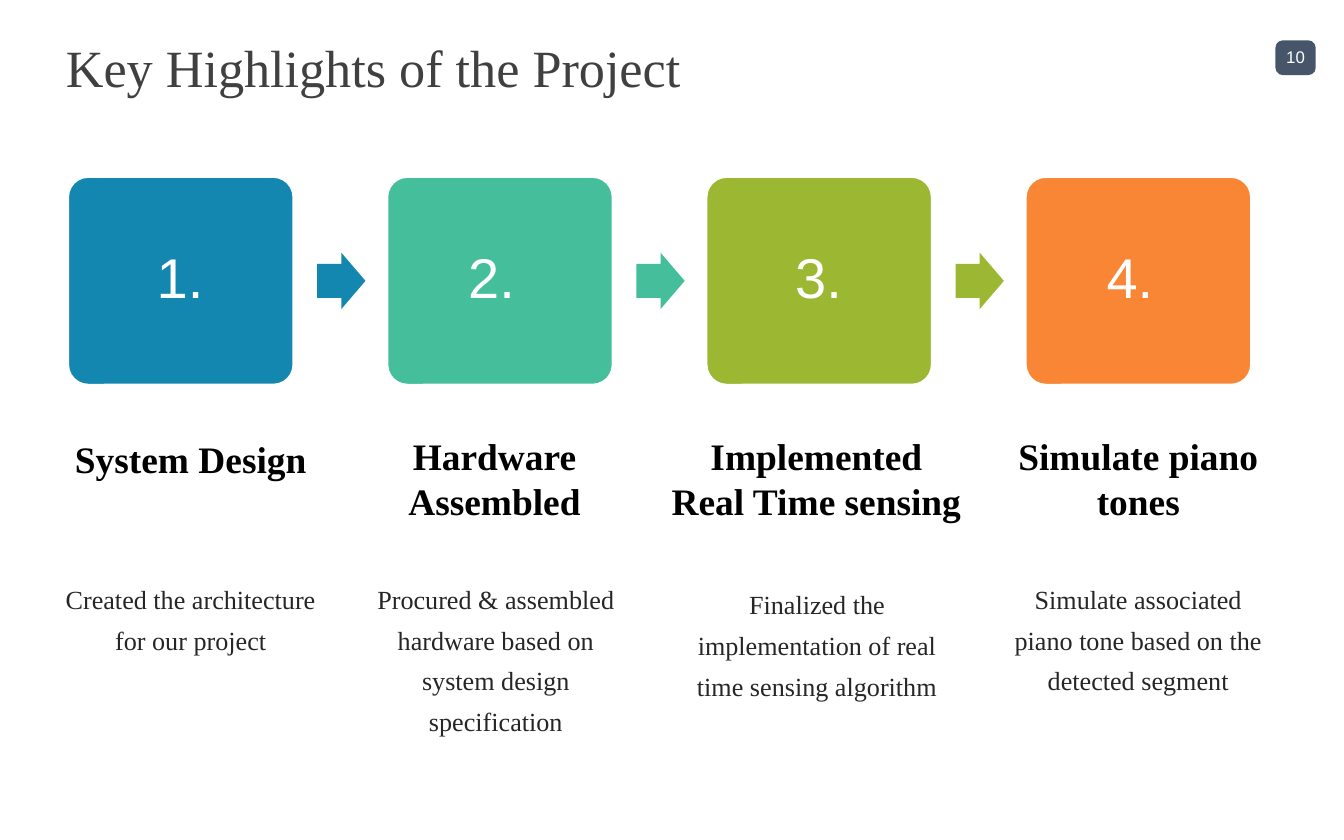
"""Build the four-step project highlights slide."""
import pptx
import pptx.util
import pptx.dml.color
import pptx.enum.shapes
import pptx.enum.text

Inches, Pt = pptx.util.Inches, pptx.util.Pt
MSO = pptx.enum.shapes.MSO_SHAPE
ALIGN = pptx.enum.text.PP_ALIGN
ANCHOR = pptx.enum.text.MSO_ANCHOR
SERIF, SANS = "Times New Roman", "Arial"

COLORS = {
    "white": "FFFFFF", "title": "404040", "heading": "000000",
    "body": "262626", "badge": "46556A", "blue": "1487B1",
    "teal": "44BE9B", "green": "9CB833", "orange": "F98634",
}
TITLE, PAGE = "Key Highlights of the Project", "10"
STEPS = [
    {"number": "1.", "color": "blue", "heading": ["System Design"],
     "heading_at": (0.45, 3.26, 1.94), "body_at": (0.45, 4.27),
     "body": "Created the architecture for our project"},
    {"number": "2. ", "color": "teal", "heading": ["Hardware", "Assembled"],
     "heading_at": (2.71, 3.4, 1.94), "body_at": (2.72, 4.27),
     "body": "Procured & assembled hardware based on system design specification"},
    {"number": "3.", "color": "green", "heading": ["Implemented", "Real Time sensing"],
     "heading_at": (4.99, 3.4, 2.17), "body_at": (5.11, 4.31),
     "body": "Finalized the implementation of real time sensing algorithm"},
    {"number": "4. ", "color": "orange", "heading": ["Simulate piano tones"],
     "heading_at": (7.28, 3.4, 2.38), "body_at": (7.5, 4.27),
     "body": "Simulate associated piano tone based on the detected segment"},
]
LEFT, PITCH = 0.5, 2.375
CARD_TOP, CARD_W, CARD_H = 1.31, 1.69, 1.56
ARROW_W, ARROW_H = 0.36, 0.42


def add_block(slide, kind, at, color, adjustments, outlined=False):
    sp = slide.shapes.add_shape(kind, *map(Inches, at))
    sp.shadow.inherit = False
    for i, value in enumerate(adjustments):
        sp.adjustments[i] = value
    sp.fill.solid()
    sp.fill.fore_color.rgb = pptx.dml.color.RGBColor.from_string(COLORS[color])
    if outlined:
        sp.line.color.rgb = pptx.dml.color.RGBColor.from_string(COLORS["white"])
        sp.line.width = Pt(2)
    else:
        sp.line.fill.background()


def add_text(slide, at, lines, size, color, font=SERIF, bold=False, align=ALIGN.CENTER,
             anchor=ANCHOR.MIDDLE, inset=(0, 0.04), spacing=None, wrap=True):
    tf = slide.shapes.add_textbox(*map(Inches, at)).text_frame
    tf.word_wrap = wrap
    tf.vertical_anchor = anchor
    tf.margin_left = tf.margin_right = Inches(inset[0])
    tf.margin_top = tf.margin_bottom = Inches(inset[1])
    for i, line in enumerate(lines):
        p = tf.add_paragraph() if i else tf.paragraphs[0]
        p.alignment = align
        if spacing:
            p.line_spacing = spacing
        r = p.add_run()
        r.text = line
        r.font.size, r.font.name, r.font.bold = Pt(size), font, bold
        r.font.color.rgb = pptx.dml.color.RGBColor.from_string(COLORS[color])


def main():
    prs = pptx.Presentation()
    prs.slide_width, prs.slide_height = Inches(10), Inches(6.25)
    slide = prs.slides.add_slide(prs.slide_layouts[6])

    add_block(slide, MSO.ROUNDED_RECTANGLE, (9.49, 0.3, 0.3, 0.26), "badge", [0.217])
    add_text(slide, (9.56, 0.29, 0.16, 0.27), [PAGE], 9, "white", SANS,
             inset=(0, 0), wrap=False)
    add_text(slide, (0.49, 0.3, 9, 0.39), [TITLE], 28, "title", align=ALIGN.LEFT)

    for i, step in enumerate(STEPS):
        x = LEFT + i * PITCH
        card = (x, CARD_TOP, CARD_W, CARD_H)
        add_block(slide, MSO.ROUNDED_RECTANGLE, card, step["color"], [0.1], outlined=True)
        add_text(slide, (x + 0.04, CARD_TOP + 0.05, 1.6, 1.46), [step["number"]], 30,
                 "white", SANS, inset=(0.12, 0.12), spacing=0.9)
        if i < len(STEPS) - 1:
            arrow = (x + CARD_W + 0.17, CARD_TOP + (CARD_H - ARROW_H) / 2, ARROW_W, ARROW_H)
            add_block(slide, MSO.RIGHT_ARROW, arrow, step["color"], [0.6, 0.5])
        add_text(slide, (*step["heading_at"], 0.31), step["heading"], 20, "heading", bold=True)
        add_text(slide, (*step["body_at"], 1.94, 0.77), [step["body"]], 14, "body",
                 anchor=ANCHOR.TOP, inset=(0, 0), spacing=1.3)

    prs.save("out.pptx")


if __name__ == "__main__":
    main()
